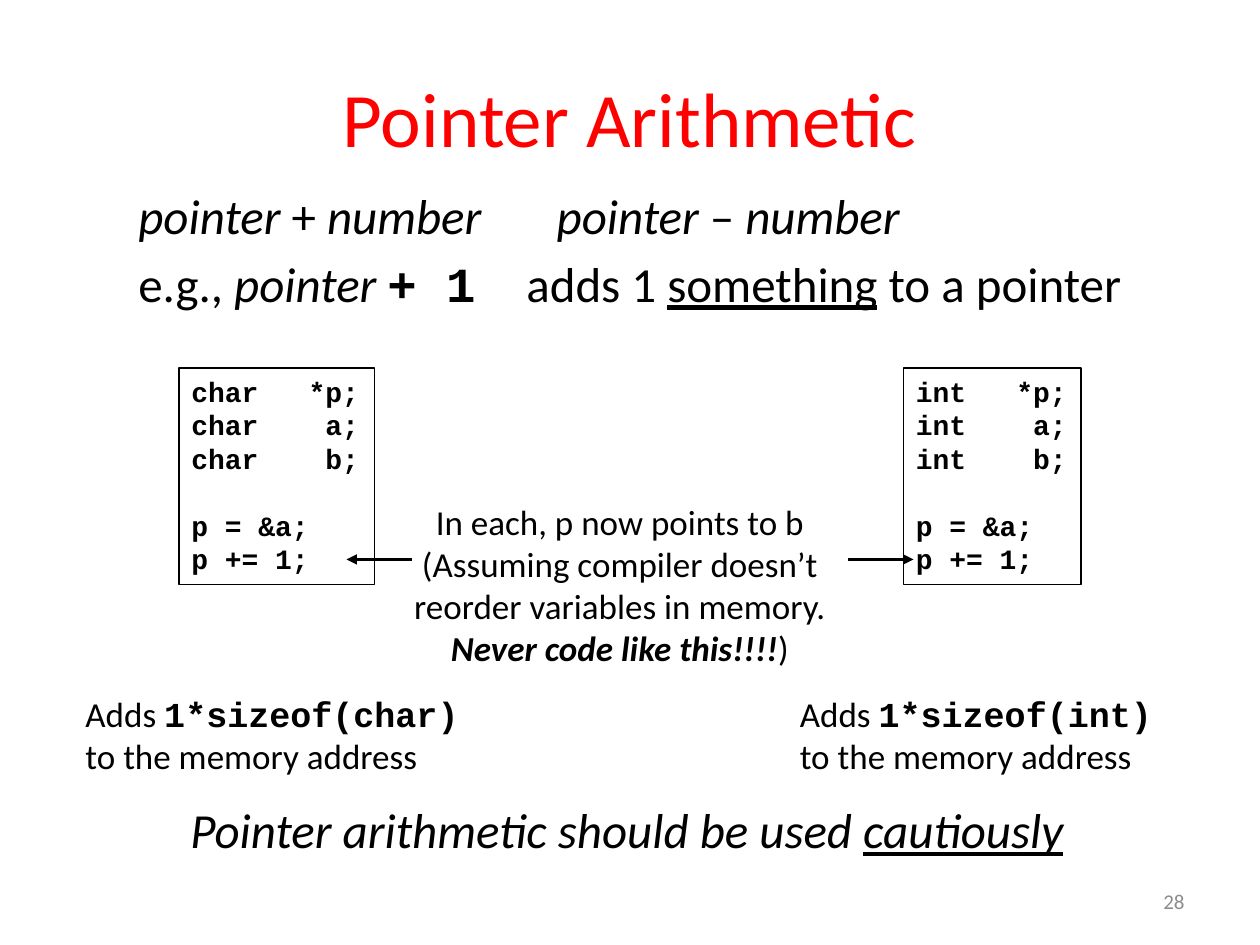
from dataclasses import dataclass

from lxml import etree
from pptx import Presentation
from pptx.dml.color import RGBColor
from pptx.enum.shapes import MSO_CONNECTOR as Connector, MSO_SHAPE as Shape
from pptx.enum.text import MSO_ANCHOR as Anchor, PP_ALIGN as Align
from pptx.oxml.ns import qn
from pptx.util import Inches, Pt


@dataclass(frozen=True)
class Theme:
    """Colours, fonts and type sizes of the slide."""
    text: RGBColor = RGBColor(0, 0, 0)
    title: RGBColor = RGBColor(0xFF, 0, 0)
    muted: RGBColor = RGBColor(0x8C, 0x8C, 0x8C)
    body_font: str = "Calibri"
    code_font: str = "Courier New"
    title_size: int = 44
    lead_size: int = 28
    note_size: int = 20
    code_size: int = 16
    number_size: int = 12


THEME = Theme()
ITALIC = {"italic": True}
UNDERLINE = {"underline": True}
CODE = {"name": THEME.code_font, "bold": True}


def write(frame, paragraphs, size, color=THEME.text, font=THEME.body_font,
          align=Align.LEFT, anchor=Anchor.TOP, wrap=True, gaps=(), tabs=(), **style):
    """Fill a text frame with paragraphs, each a list of (text, style) runs."""
    frame.word_wrap = wrap
    frame.vertical_anchor = anchor
    for index, runs in enumerate(paragraphs):
        paragraph = frame.add_paragraph() if index else frame.paragraphs[0]
        paragraph.alignment = align
        if gaps:
            paragraph.space_before = Pt(gaps[index])
        if tabs:
            tab_list = etree.SubElement(paragraph._p.get_or_add_pPr(), qn("a:tabLst"))
            etree.SubElement(tab_list, qn("a:tab"), pos=str(Inches(tabs[index])), algn="l")
        for text, run_style in runs:
            run = paragraph.add_run()
            run.text = text
            run.font.size = Pt(size)
            run.font.color.rgb = color
            for key, value in {"name": font, **style, **run_style}.items():
                setattr(run.font, key, value)


def add_text(slide, box, paragraphs, size, **options):
    """Place a text box in a (left, top, width, height) box in inches."""
    shape = slide.shapes.add_textbox(*map(Inches, box))
    write(shape.text_frame, paragraphs, size, **options)


def add_arrow(slide, start, end, y):
    """Draw a horizontal arrow at height y."""
    arrow = slide.shapes.add_connector(
        Connector.STRAIGHT, Inches(start), Inches(y), Inches(end), Inches(y))
    arrow.line.color.rgb = THEME.text
    arrow.line.width = Pt(1.25)
    etree.SubElement(arrow.line._get_or_add_ln(), qn("a:tailEnd"), type="triangle")
    etree.SubElement(arrow._element.spPr, qn("a:effectLst"))


def add_code_box(slide, box, lines):
    """Draw an outlined code listing with declarations above statements."""
    shape = slide.shapes.add_shape(Shape.RECTANGLE, *map(Inches, box))
    shape.shadow.inherit = False
    shape.fill.background()
    shape.line.color.rgb = THEME.text
    shape.line.width = Pt(0.75)
    write(shape.text_frame, [[(line, CODE)] for line in lines], THEME.code_size,
          wrap=False, gaps=(0, 0, 0, 19, 0))


def add_example(slide, box, kind, code_offset, code_width, arrow_offsets):
    """Place one type's listing, its arrow and its caption in a column."""
    left, top, width, height = box
    caption_height = 0.77
    lines = [f"{kind}   *p;", f"{kind}    a;", f"{kind}    b;", "p = &a;", "p += 1;"]
    add_code_box(slide, (left + code_offset, top, code_width, 1.72), lines)
    start, end = (left + offset for offset in arrow_offsets)
    add_arrow(slide, start, end, top + 1.52)
    add_text(slide, (left, top + height - caption_height, width, caption_height),
             [[("Adds ", {}), (f"1*sizeof({kind}) ", CODE), ("to the memory address", {})]],
             THEME.note_size)


def add_heading(slide, box):
    """Place the slide title."""
    add_text(slide, box, [[("Pointer Arithmetic", {})]], THEME.title_size,
             color=THEME.title, align=Align.CENTER, anchor=Anchor.MIDDLE)


def add_definition(slide, box):
    """Place the two lines that define pointer arithmetic."""
    add_text(slide, box, [
        [("pointer", ITALIC), (" + ", {}), ("number\tpointer", ITALIC),
         (" – ", {}), ("number", ITALIC)],
        [("e.g., ", {}), ("pointer ", ITALIC), ("+ 1", CODE), ("\tadds 1 ", {}),
         ("something", UNDERLINE), (" to a pointer", {})],
    ], THEME.lead_size, gaps=(0, 5.6), tabs=(3.32, 3.08))


def add_note(slide, box):
    """Place the centred remark between the listings."""
    add_text(slide, box, [
        [("In each, p now points to b", {})],
        [("(Assuming compiler doesn’t reorder variables in memory. ", {}),
         ("Never code like this!!!!", {"bold": True, "italic": True}), (")", {})],
    ], THEME.note_size, align=Align.CENTER)


def add_conclusion(slide, box):
    """Place the closing advice."""
    add_text(slide, box,
             [[("Pointer arithmetic should be used ", {}), ("cautiously", UNDERLINE)]],
             THEME.lead_size, align=Align.CENTER, wrap=False, italic=True)


def add_page_number(slide, box):
    """Place the page number."""
    add_text(slide, box, [[("28", {})]], THEME.number_size, color=THEME.muted,
             align=Align.RIGHT, anchor=Anchor.MIDDLE)


def main():
    """Build and save the slide."""
    presentation = Presentation()
    presentation.slide_width, presentation.slide_height = Inches(10), Inches(7.5)
    slide = presentation.slides.add_slide(presentation.slide_layouts[6])
    add_heading(slide, (0.5, 0.3, 9, 1.25))
    add_definition(slide, (1, 1.42, 8.5, 1.71))
    add_example(slide, (0.58, 2.92, 3.22, 3.3), "char", 0.84, 1.55, (2.69, 2.17))
    add_example(slide, (6.25, 2.92, 3.06, 3.3), "int", 0.92, 1.41, (0.48, 1))
    add_note(slide, (2.92, 3.92, 4, 1.45))
    add_conclusion(slide, (1.31, 6.3, 7.33, 0.57))
    add_page_number(slide, (7.17, 6.95, 2.33, 0.4))
    presentation.save("out.pptx")


if __name__ == "__main__":
    main()
